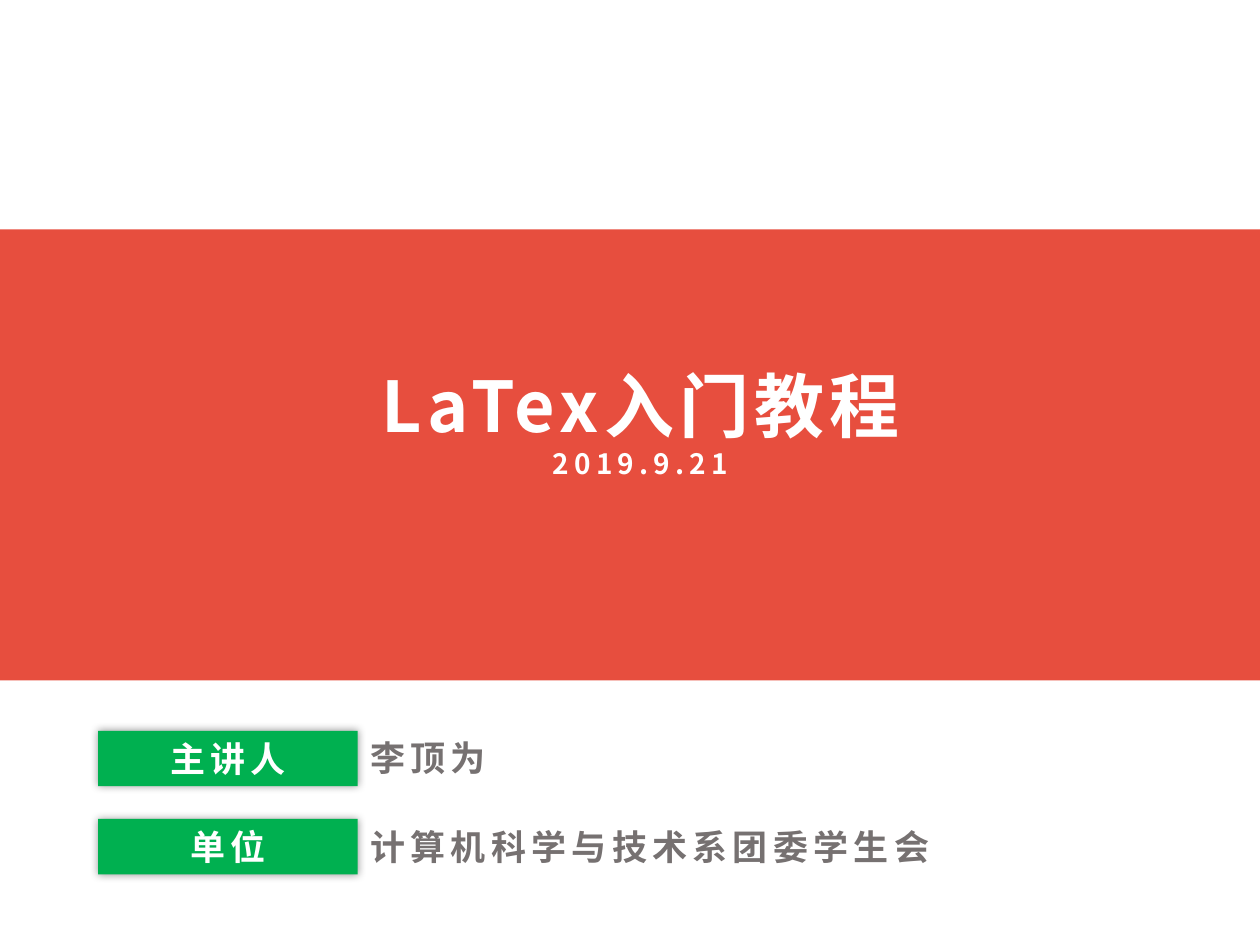
from pptx import Presentation
from pptx.dml.color import RGBColor
from pptx.enum.shapes import MSO_SHAPE
from pptx.enum.text import MSO_ANCHOR, MSO_AUTO_SIZE, PP_ALIGN
from pptx.oxml import parse_xml
from pptx.oxml.ns import nsdecls
from pptx.util import Inches, Pt

FONT = "Noto Sans CJK SC"
COLORS = {"band": "E74E3E", "label": "00B050", "light": "FFFFFF", "detail": "767171"}
TITLE_LINES = [("LaTex入门教程", 40), ("2019.9.21", 16)]
DETAILS = [("主讲人", "李顶为"), ("单位", "计算机科学与技术系团委学生会")]

WIDTH, HEIGHT = 10, 7.5
BAND_TOP, BAND_HEIGHT = 1.82, 3.58
LABEL_LEFT, LABEL_WIDTH, DETAIL_WIDTH = 0.78, 2.06, 4.87
ROW_TOP, ROW_STEP, ROW_HEIGHT = 5.8, 0.7, 0.44


def place(left, top, width, height):
    return [Inches(value) for value in (left, top, width, height)]


def write(shape, lines, color="light", align=PP_ALIGN.CENTER, anchor=MSO_ANCHOR.TOP):
    """Fill a shape with (text, size) lines, one paragraph each."""
    frame = shape.text_frame
    frame.word_wrap = True
    frame.auto_size = MSO_AUTO_SIZE.NONE
    frame.vertical_anchor = anchor
    for index, (text, size) in enumerate(lines):
        paragraph = frame.add_paragraph() if index else frame.paragraphs[0]
        paragraph.alignment = align
        run = paragraph.add_run()
        run.text = text
        font = run.font
        font.name, font.size, font.bold = FONT, Pt(size), True
        font.color.rgb = RGBColor.from_string(COLORS[color])
        properties = run._r.get_or_add_rPr()
        properties.set("spc", "300")
        properties.append(parse_xml(f'<a:ea {nsdecls("a")} typeface="{FONT}"/>'))


def add_box(slide, color, *box):
    shape = slide.shapes.add_shape(MSO_SHAPE.RECTANGLE, *place(*box))
    shape.shadow.inherit = False
    shape.fill.solid()
    shape.fill.fore_color.rgb = RGBColor.from_string(COLORS[color])
    shape.line.fill.background()
    return shape


def add_glow_shadow(shape):
    """Give a soft, centred black shadow."""
    shape.shadow.inherit = False
    shape._element.spPr.effectLst.append(parse_xml(
        f'<a:outerShdw {nsdecls("a")} blurRad="{Pt(5)}" algn="ctr" rotWithShape="0">'
        '<a:srgbClr val="000000"><a:alpha val="40000"/></a:srgbClr></a:outerShdw>'))


def main():
    presentation = Presentation()
    presentation.slide_width, presentation.slide_height = Inches(WIDTH), Inches(HEIGHT)
    slide = presentation.slides.add_slide(presentation.slide_layouts[5])

    band = add_box(slide, "band", 0, BAND_TOP, WIDTH, BAND_HEIGHT)
    title = slide.shapes.title
    title.left, title.top, title.width, title.height = place(0.38, 2.83, 9.41, 1.04)
    write(title, TITLE_LINES)
    title._element.addprevious(band._element)

    for row, (label, detail) in enumerate(DETAILS):
        top = ROW_TOP + row * ROW_STEP
        box = add_box(slide, "label", LABEL_LEFT, top, LABEL_WIDTH, ROW_HEIGHT)
        add_glow_shadow(box)
        write(box, [(label, 20)], anchor=MSO_ANCHOR.MIDDLE)
        text_box = slide.shapes.add_textbox(
            *place(LABEL_LEFT + LABEL_WIDTH, top, DETAIL_WIDTH, ROW_HEIGHT))
        write(text_box, [(detail, 20)], color="detail", align=PP_ALIGN.LEFT)

    presentation.save("out.pptx")


if __name__ == "__main__":
    main()
